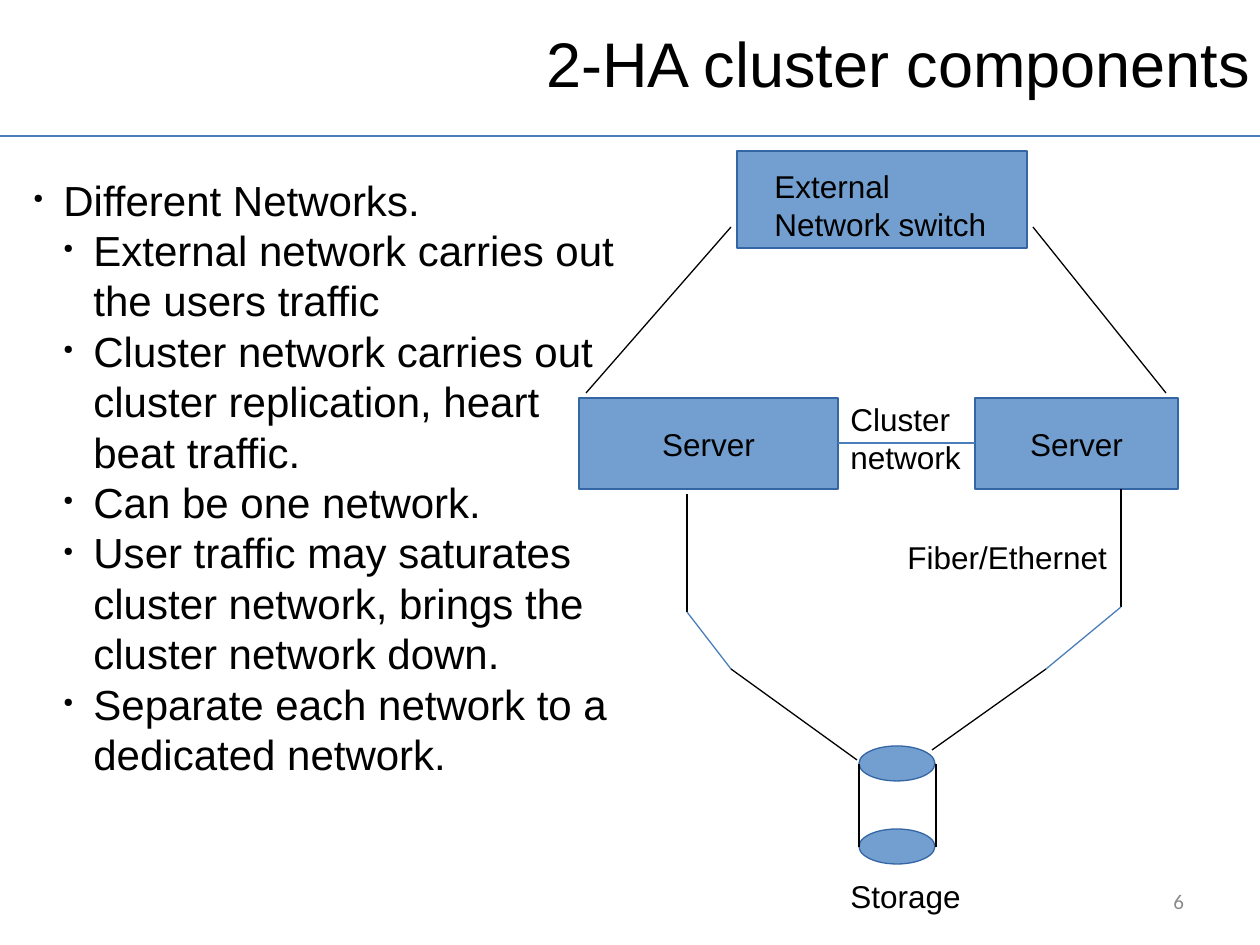
from lxml import etree
from pptx import Presentation
from pptx import util as u
from pptx.dml.color import RGBColor
from pptx.enum import shapes, text
from pptx.oxml import ns

PX_PER_INCH = 126
BLACK = RGBColor(0x00, 0x00, 0x00)
GRAY = RGBColor(0x8B, 0x8B, 0x8B)
FILL = RGBColor(0x72, 0x9F, 0xCF)
OUTLINE = RGBColor(0x34, 0x65, 0xA4)
BLUE = RGBColor(0x4A, 0x7E, 0xBB)


def px(length):
    return u.Emu(round(length * u.Inches(1) / PX_PER_INCH))


class Painter:
    """Holds the text style and the current slide."""

    font = "Arial"
    line_width = u.Pt(0.75)

    def __init__(self, slide):
        self.slide = slide

    def add_runs(self, paragraph, content, size, color=BLACK, font=None):
        for index, line in enumerate(content.split("\n")):
            if index:
                paragraph.add_line_break()
            run = paragraph.add_run()
            run.text = line
            run.font.name = font or self.font
            run.font.size = u.Pt(size)
            run.font.color.rgb = color

    def text(self, box, lines, size=18, wrap=False, align=None, anchor=None,
             right_inset=13, bulleted=False, **style):
        frame = self.slide.shapes.add_textbox(*map(px, box)).text_frame
        frame.word_wrap = wrap
        frame.vertical_anchor = anchor
        frame.margin_right = px(right_inset)
        for index, line in enumerate(lines):
            paragraph = frame.add_paragraph() if index else frame.paragraphs[0]
            paragraph.alignment = align
            if bulleted:
                self.bullet(paragraph, level=min(index, 1))
            self.add_runs(paragraph, line, size, **style)

    def bullet(self, paragraph, level):
        paragraph.level = level
        properties = paragraph._p.get_or_add_pPr()
        properties.set("marL", str(px(30 * (level + 1))))
        properties.set("indent", str(px(-30)))
        color = etree.SubElement(properties, ns.qn("a:buClr"))
        etree.SubElement(color, ns.qn("a:srgbClr"), val=str(BLACK))
        etree.SubElement(properties, ns.qn("a:buSzPct"), val="30000")
        etree.SubElement(properties, ns.qn("a:buChar"), char="●")

    def shape(self, kind, box, label=None):
        shape = self.slide.shapes.add_shape(kind, *map(px, box))
        shape.shadow.inherit = False
        shape.fill.solid()
        shape.fill.fore_color.rgb = FILL
        shape.line.color.rgb = OUTLINE
        shape.line.width = self.line_width
        if label:
            frame = shape.text_frame
            frame.word_wrap = False
            frame.vertical_anchor = text.MSO_ANCHOR.MIDDLE
            paragraph = frame.paragraphs[0]
            paragraph.alignment = text.PP_ALIGN.CENTER
            self.add_runs(paragraph, label, 18)

    def line(self, start, end, color=BLACK):
        connector = self.slide.shapes.add_connector(
            shapes.MSO_CONNECTOR.STRAIGHT, *map(px, (*start, *end)))
        connector.line.color.rgb = color
        connector.line.width = self.line_width
        etree.SubElement(connector._element.spPr, ns.qn("a:effectLst"))


def main():
    presentation = Presentation()
    presentation.slide_width = u.Inches(10)
    presentation.slide_height = u.Inches(7.5)
    painter = Painter(presentation.slides.add_slide(presentation.slide_layouts[6]))
    rectangle = shapes.MSO_SHAPE.RECTANGLE
    ellipse = shapes.MSO_SHAPE.OVAL

    # Header rule, page number and title
    painter.line((0, 136), (1260, 136), BLUE)
    painter.text((903, 876, 294, 50), ["6"], 12, wrap=True,
                 align=text.PP_ALIGN.RIGHT, anchor=text.MSO_ANCHOR.MIDDLE,
                 color=GRAY, font="Calibri")
    painter.text((534, 18, 726, 103), ["2-HA cluster components"], 36,
                 wrap=True, right_inset=0)

    # Bulleted list
    painter.text((21, 168, 1239, 759), [
        "Different Networks.",
        "External network carries out\nthe users traffic",
        "Cluster network carries out\ncluster replication, heart\nbeat traffic.",
        "Can be one network.",
        "User traffic may saturates\ncluster network, brings the \ncluster network down.",
        "Separate each network to a \ndedicated network.",
    ], 24, bulleted=True)

    # Network switch and servers
    painter.shape(rectangle, (737, 151, 290, 97))
    painter.text((762, 161, 246, 92), ["External Network switch"], wrap=True)
    for left, width in ((579, 259), (975, 203)):
        painter.shape(rectangle, (left, 398, width, 91), "Server")

    # Storage cylinder
    for top in (746, 829):
        painter.shape(ellipse, (859, top, 76, 35))
    for x in (859, 936):
        painter.line((x, 764), (x, 847))

    # Links from switch to servers
    painter.line((586, 393), (731, 227))
    painter.line((1166, 393), (1033, 227))

    # Links from servers to storage, with a blue middle stretch
    for server, bend, corner, storage in (
        ((687, 494), (687, 612), (731, 669), (857, 760)),
        ((1121, 489), (1121, 607), (1046, 669), (932, 750)),
    ):
        painter.line(server, bend)
        painter.line(bend, corner, BLUE)
        painter.line(corner, storage)

    # Link between the servers
    painter.line((838, 443), (975, 443), BLUE)

    # Labels
    painter.text((838, 871, 170, 48), ["Storage"], wrap=True)
    painter.text((895, 532, 233, 52), ["Fiber/Ethernet"], wrap=True)
    painter.text((838, 394, 137, 89), ["Cluster", "network"])

    presentation.save("out.pptx")


if __name__ == "__main__":
    main()
